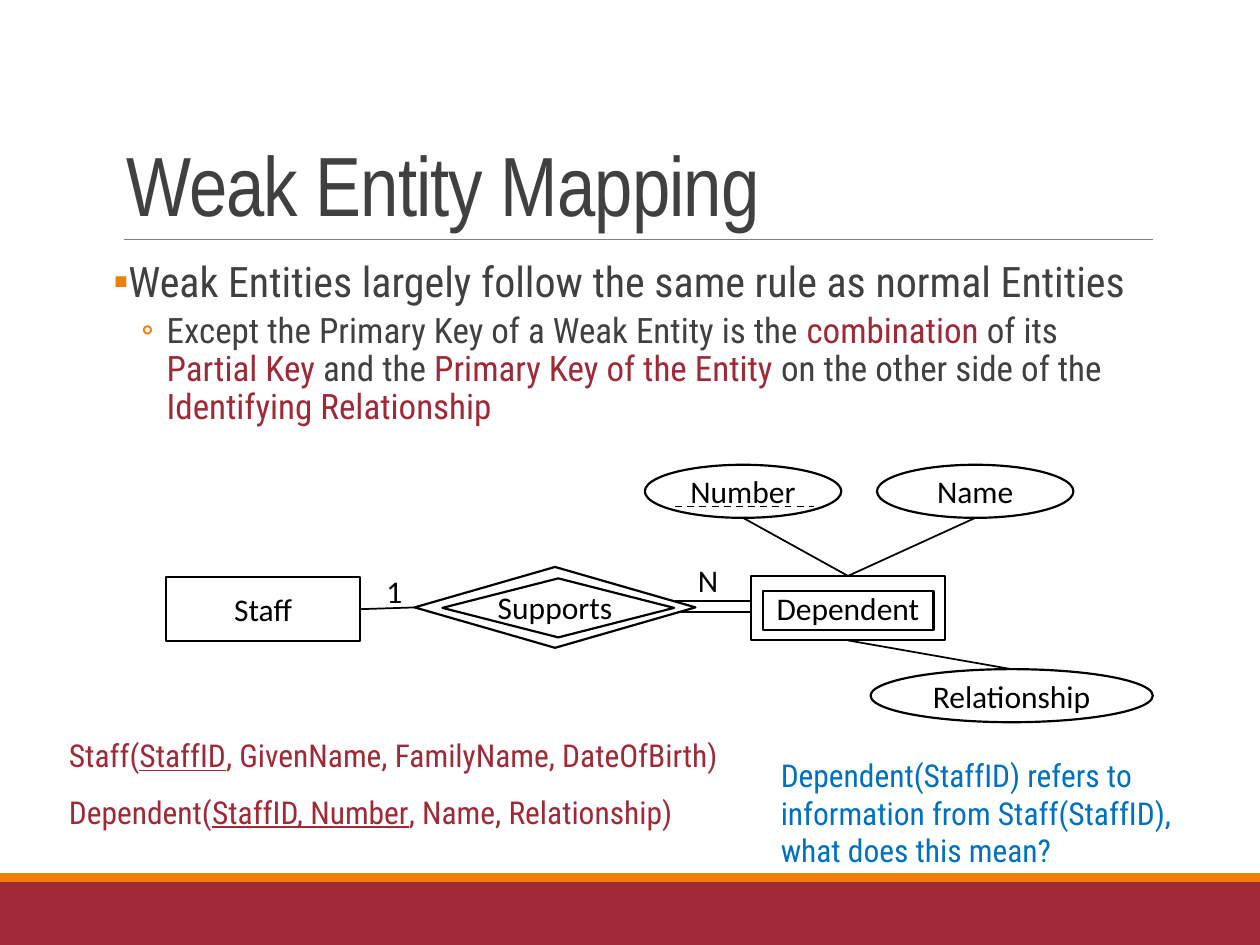
from lxml import etree
from pptx import Presentation
from pptx.dml.color import RGBColor
from pptx.enum import dml, shapes, text
from pptx.oxml.ns import qn
from pptx.util import Cm, Pt

HUES = {"red": "9F2936", "orange": "F07F09", "grey": "404040", "rule": "808080",
        "blue": "0070C0", "black": "000000", "white": "FFFFFF"}
HEAD, BODY, ER = "Arial Narrow", "Roboto Condensed", "Calibri"
KIND = shapes.MSO_SHAPE

# Content: runs are (text, colour) or (text, colour, underlined)
TITLE = "Weak Entity Mapping"
POINTS = [
    # size, left margin, hang, before, after, bullet, runs
    (24, 0.25, 0.25, 0, 2, "▪",
     [("Weak Entities largely follow the same rule as normal Entities", "grey")]),
    (20, 1.07, 0.51, 2, 4, "◦",
     [("Except the Primary Key of a Weak Entity is the ", "grey"),
      ("combination", "red"), (" of its ", "grey"),
      ("Partial Key ", "red"), ("and the ", "grey"),
      ("Primary Key of the Entity ", "red"),
      ("on the other side of the ", "grey"),
      ("Identifying Relationship", "red")]),
]
# Diagram nodes: kind, left, top, width, height, filled (text is the key)
NODES = {
    "Staff": (KIND.RECTANGLE, 3.35, 11.63, 3.91, 1.3, True),
    "Dependent": (KIND.RECTANGLE, 15.14, 11.61, 3.91, 1.3, False),
    "Supports": (KIND.DIAMOND, 8.36, 11.43, 5.66, 1.63, False),
    "Number": (KIND.OVAL, 13, 9.37, 3.96, 1.07, True),
    "Name": (KIND.OVAL, 17.68, 9.37, 3.96, 1.07, True),
    "Relationship": (KIND.OVAL, 17.55, 13.49, 5.69, 1.07, True),
}
INNER = [(KIND.RECTANGLE, 15.39, 11.91, 3.43, 0.79, True),
         (KIND.DIAMOND, 8.92, 11.66, 4.67, 1.19, True)]
LINKS = [("Number", "bottom", "Dependent", "top"),
         ("Name", "bottom", "Dependent", "top"),
         ("Relationship", "top", "Dependent", "bottom"),
         ("Staff", "right", "Supports", "left")]
DOUBLE = [(13.61, 12.12, 15.11, 12.12), (13.67, 12.34, 15.16, 12.34)]
DASH = (13.61, 10.21, 16.41, 10.21)
# Text boxes: left, top, width, height, font, line spacing, paragraphs
NOTES = [
    (7.54, 11.4, 1.24, 1.02, ER, 1, [[("1", "black")]]),
    (13.82, 11.18, 1.24, 1.02, ER, 1, [[("N", "black")]]),
    (1.14, 14.33, 15.57, 2.41, BODY, 1.5,
     [[("Staff(", "red"), ("StaffID", "red", True),
       (", GivenName, FamilyName, DateOfBirth)", "red")],
      [("Dependent(", "red"), ("StaffID, Number", "red", True),
       (", Name, Relationship)", "red")]]),
    (15.49, 15.11, 8.97, 2.57, BODY, 1,
     [[("Dependent(StaffID) refers to information from Staff(StaffID), "
        "what does this mean?", "blue")]]),
]

deck = Presentation()
deck.slide_width, deck.slide_height = Cm(25.4), Cm(19.05)
slide = deck.slides.add_slide(deck.slide_layouts[1])


def hue(name):
    return RGBColor.from_string(HUES[name])


def write(para, runs, font, size):
    for words, tint, *under in runs:
        run = para.add_run()
        run.text = words
        run.font.name, run.font.size = font, Pt(size)
        run.font.color.rgb = hue(tint)
        if under:
            run.font.underline = True


def place(shape, *box):
    shape.left, shape.top, shape.width, shape.height = map(Cm, box)


def draw(kind, x, y, w, h, fill=None, edge=None):
    shape = slide.shapes.add_shape(kind, Cm(x), Cm(y), Cm(w), Cm(h))
    shape.shadow.inherit = False
    if fill:
        shape.fill.solid()
        shape.fill.fore_color.rgb = hue(fill)
    else:
        shape.fill.background()
    if edge:
        shape.line.color.rgb = hue(edge)
        shape.line.width = Pt(1.25)
    else:
        shape.line.fill.background()
    return shape


def link(x1, y1, x2, y2, tint="black", width=1):
    line = slide.shapes.add_connector(
        shapes.MSO_CONNECTOR.STRAIGHT, Cm(x1), Cm(y1), Cm(x2), Cm(y2))
    line.line.color.rgb = hue(tint)
    line.line.width = Pt(width)
    etree.SubElement(line._element.spPr, qn("a:effectLst"))
    return line


def side(name, edge):
    _, x, y, w, h, _ = NODES[name]
    return {"top": (x + w / 2, y), "bottom": (x + w / 2, y + h),
            "left": (x, y + h / 2), "right": (x + w, y + h / 2)}[edge]


def bullet(para, mark, left, hang):
    props = para._p.get_or_add_pPr()
    props.set("marL", str(Cm(left)))
    props.set("indent", str(-Cm(hang)))
    tint = etree.SubElement(props, qn("a:buClr"))
    etree.SubElement(tint, qn("a:srgbClr"), val=HUES["orange"])
    etree.SubElement(props, qn("a:buFont"), typeface=ER)
    etree.SubElement(props, qn("a:buChar"), char=mark)


# Footer bands and title rule
draw(KIND.RECTANGLE, 0, 17.78, 25.4, 1.27, "red")
draw(KIND.RECTANGLE, 0, 17.6, 25.4, 0.18, "orange")
link(2.49, 4.83, 23.24, 4.83, "rule", 0.5)

# Title
title = slide.shapes.title
place(title, 2.29, 0.79, 20.96, 4.04)
frame = title.text_frame
frame.auto_size = text.MSO_AUTO_SIZE.NONE
frame.vertical_anchor = text.MSO_ANCHOR.BOTTOM
para = frame.paragraphs[0]
para.alignment, para.line_spacing = text.PP_ALIGN.LEFT, 0.85
write(para, [(TITLE, "grey")], HEAD, 48)
para.runs[0].font._element.set("spc", "-50")

# Bullet list
body = slide.placeholders[1]
place(body, 2.29, 5.13, 20.96, 11.18)
frame = body.text_frame
frame.auto_size = text.MSO_AUTO_SIZE.NONE
frame.margin_left = frame.margin_right = 0
for i, (size, left, hang, before, after, mark, runs) in enumerate(POINTS):
    para = frame.add_paragraph() if i else frame.paragraphs[0]
    para.level = i
    bullet(para, mark, left, hang)
    para.line_spacing = 0.9
    para.space_before, para.space_after = Pt(before), Pt(after)
    write(para, runs, BODY, size)

# Diagram: inner outlines first, then the named nodes
for *box, full in INNER:
    draw(*box, "white", "black")
for name, (*box, full) in NODES.items():
    node = draw(*box, "white" if full else None, "black")
    frame = node.text_frame
    frame.margin_left = frame.margin_right = 0
    frame.margin_top = frame.margin_bottom = 0
    frame.vertical_anchor = text.MSO_ANCHOR.MIDDLE
    frame.paragraphs[0].alignment = text.PP_ALIGN.CENTER
    write(frame.paragraphs[0], [(name, "black")], ER, 18)

# Links, double line and partial-key underline
for start, out, end, into in LINKS:
    link(*side(start, out), *side(end, into))
for ends in DOUBLE:
    link(*ends)
link(*DASH).line.dash_style = dml.MSO_LINE.DASH

# Cardinalities, schemas and question
for *box, font, gap, paras in NOTES:
    frame = slide.shapes.add_textbox(*map(Cm, box)).text_frame
    frame.word_wrap = True
    for i, runs in enumerate(paras):
        para = frame.add_paragraph() if i else frame.paragraphs[0]
        para.line_spacing = gap
        write(para, runs, font, 18)

deck.save("out.pptx")
